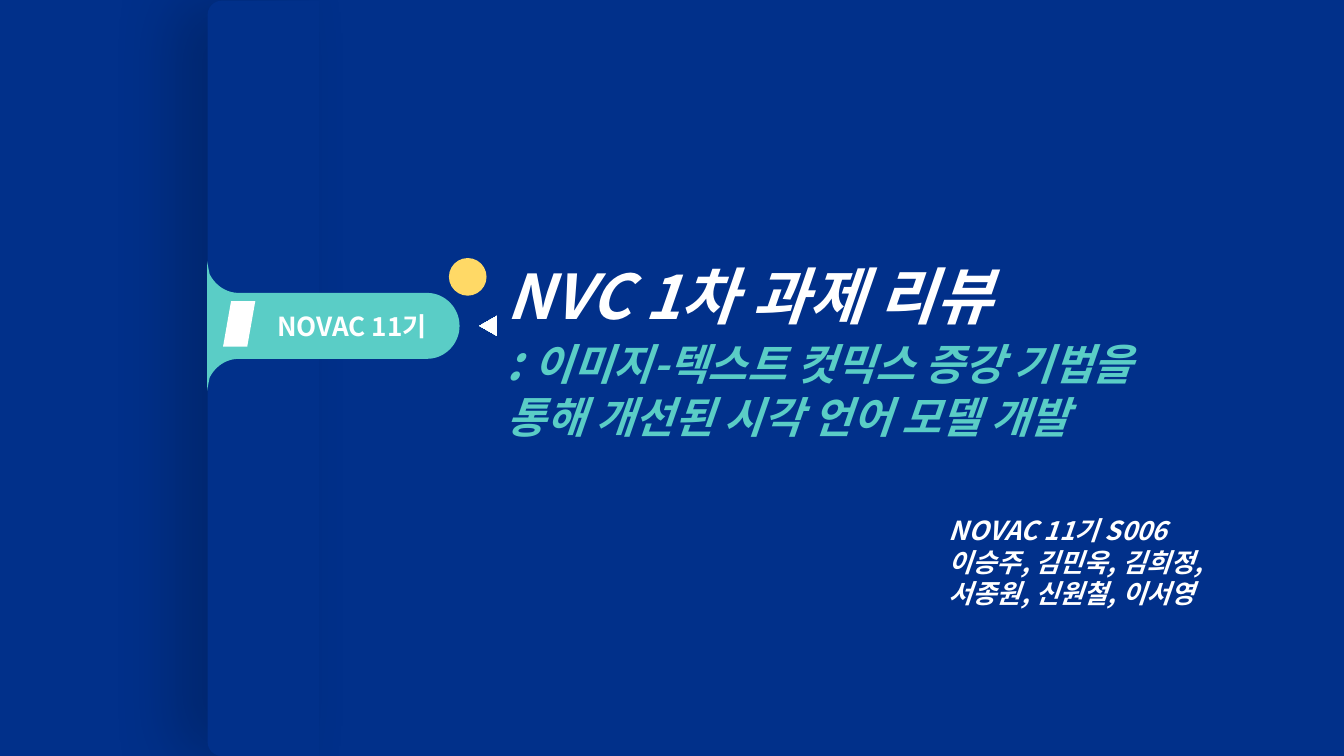
from lxml import etree
from pptx import Presentation
from pptx.dml.color import RGBColor
from pptx.enum import shapes, text
from pptx.oxml import ns
from pptx.util import Inches, Pt

NAVY = RGBColor(0x01, 0x30, 0x8A)
TEAL = RGBColor(0x5A, 0xCD, 0xC6)
GOLD = RGBColor(0xFF, 0xD9, 0x66)
WHITE = RGBColor(0xFF, 0xFF, 0xFF)
FACE = "Noto Sans CJK KR"
KIND = shapes.MSO_SHAPE


def add_shape(slide, kind, box, fill):
    shape = slide.shapes.add_shape(kind, *map(Inches, box))
    shape.shadow.inherit = False
    shape.fill.solid()
    shape.fill.fore_color.rgb = fill
    shape.line.fill.background()
    return shape


def add_run(para, words, size, color, slant=True):
    run = para.add_run()
    run.text = words
    font = run.font
    font.size, font.bold, font.italic = Pt(size), True, slant
    font.color.rgb = color
    font.name = FACE
    etree.SubElement(font._element, ns.qn("a:ea"), typeface=FACE)


def set_frame(shape, anchor=text.MSO_ANCHOR.TOP):
    frame = shape.text_frame
    frame.word_wrap = True
    frame.auto_size = text.MSO_AUTO_SIZE.NONE
    frame.vertical_anchor = anchor
    frame.margin_left = frame.margin_right = Inches(0.07)
    frame.margin_top = frame.margin_bottom = Inches(0.04)
    return frame


def curve(a, b, c, d, steps=16):
    """Points along a cubic curve, after its start."""
    points = []
    for i in range(1, steps + 1):
        t = i / steps
        s = 1 - t
        points.append(tuple(
            s**3 * p + 3 * s * s * t * q + 3 * s * t * t * r + t**3 * e
            for p, q, r, e in zip(a, b, c, d)))
    return points


def scale(points):
    return [(Inches(x), Inches(y)) for x, y in points]


def add_panel(slide):
    # Full-height panel, turned so its round corners face left
    panel = add_shape(slide, KIND.ROUND_2_SAME_RECTANGLE,
                      (-0.85, 2.4, 5.62, 0.83), NAVY)
    panel.adjustments[0], panel.adjustments[1] = 0.127, 0
    panel.rotation = 270
    effects = panel._element.spPr.find(ns.qn("a:effectLst"))
    shadow = etree.SubElement(
        effects, ns.qn("a:outerShdw"), blurRad=str(Pt(35)), dist=str(Pt(18)),
        dir="10800000", algn="r", rotWithShape="0")
    color = etree.SubElement(shadow, ns.qn("a:srgbClr"), val="000000")
    etree.SubElement(color, ns.qn("a:alpha"), val="20000")


def add_tab(slide):
    # Upper half of the tab; the lower half mirrors it
    mid = 2.425
    top = [(1.54, 1.94), (1.56, 2.04)]
    top += curve(top[-1], (1.6, 2.12), (1.68, 2.18), (1.78, 2.18))
    top += [(3.18, 2.18)]
    top += curve(top[-1], (3.31, 2.18), (3.42, 2.29), (3.42, mid))
    low = [(x, 2 * mid - y) for x, y in reversed(top[:-1])]
    pointer = scale([(3.7, 2.35), (3.7, 2.5), (3.57, mid)])
    outline = scale(top + low)

    pen = slide.shapes.build_freeform(*pointer[0])
    pen.add_line_segments(pointer[1:], close=True)
    pen.move_to(*outline[0])
    pen.add_line_segments(outline[1:], close=True)
    tab = pen.convert_to_shape()
    tab.shadow.inherit = False
    tab.line.fill.background()

    # Teal body on the left, white pointer on the right
    tab.fill.gradient()
    tab.fill.gradient_angle = 0
    for stop, place, color in zip(tab.fill.gradient_stops,
                                  (0.9, 0.92), (TEAL, WHITE)):
        stop.position = place
        stop.color.rgb = color

    para = set_frame(tab, text.MSO_ANCHOR.MIDDLE).paragraphs[0]
    para.alignment = text.PP_ALIGN.CENTER
    add_run(para, "NOVAC 11기", 14, WHITE, slant=False)


def add_title(slide):
    title = slide.shapes.title
    title.left, title.top = Inches(3.7), Inches(1.88)
    title.width, title.height = Inches(5.35), Inches(2.33)
    frame = set_frame(title)
    head, sub = frame.paragraphs[0], frame.add_paragraph()
    head.alignment = sub.alignment = text.PP_ALIGN.LEFT
    add_run(head, "NVC 1차 과제 리뷰", 33, WHITE)
    add_run(sub, ": ", 26, TEAL)
    add_run(sub, "이미지-텍스트 컷믹스 증강 기법을 통해 개선된 시각 언어 모델 개발",
            23, TEAL)


def add_team(slide):
    box = slide.shapes.add_textbox(*map(Inches, (6.99, 3.79, 2.63, 0.78)))
    para = set_frame(box).paragraphs[0]
    lines = ("NOVAC 11기 S006", "이승주, 김민욱, 김희정, ", "서종원, 신원철, 이서영")
    for i, line in enumerate(lines):
        if i:
            para.add_line_break()
        add_run(para, line, 14, WHITE)


def main():
    deck = Presentation()
    # Widescreen, 16 to 9
    deck.slide_width = Inches(10)
    deck.slide_height = deck.slide_width * 9 // 16
    slide = deck.slides.add_slide(deck.slide_layouts[5])
    back = slide.background.fill
    back.solid()
    back.fore_color.rgb = NAVY

    add_panel(slide)
    add_tab(slide)
    # Dot and plain badge
    add_shape(slide, KIND.OVAL, (3.34, 1.92, 0.28, 0.28), GOLD)
    add_shape(slide, KIND.PARALLELOGRAM, (1.66, 2.24, 0.24, 0.34), WHITE)
    add_title(slide)
    add_team(slide)
    deck.save("out.pptx")


if __name__ == "__main__":
    main()
